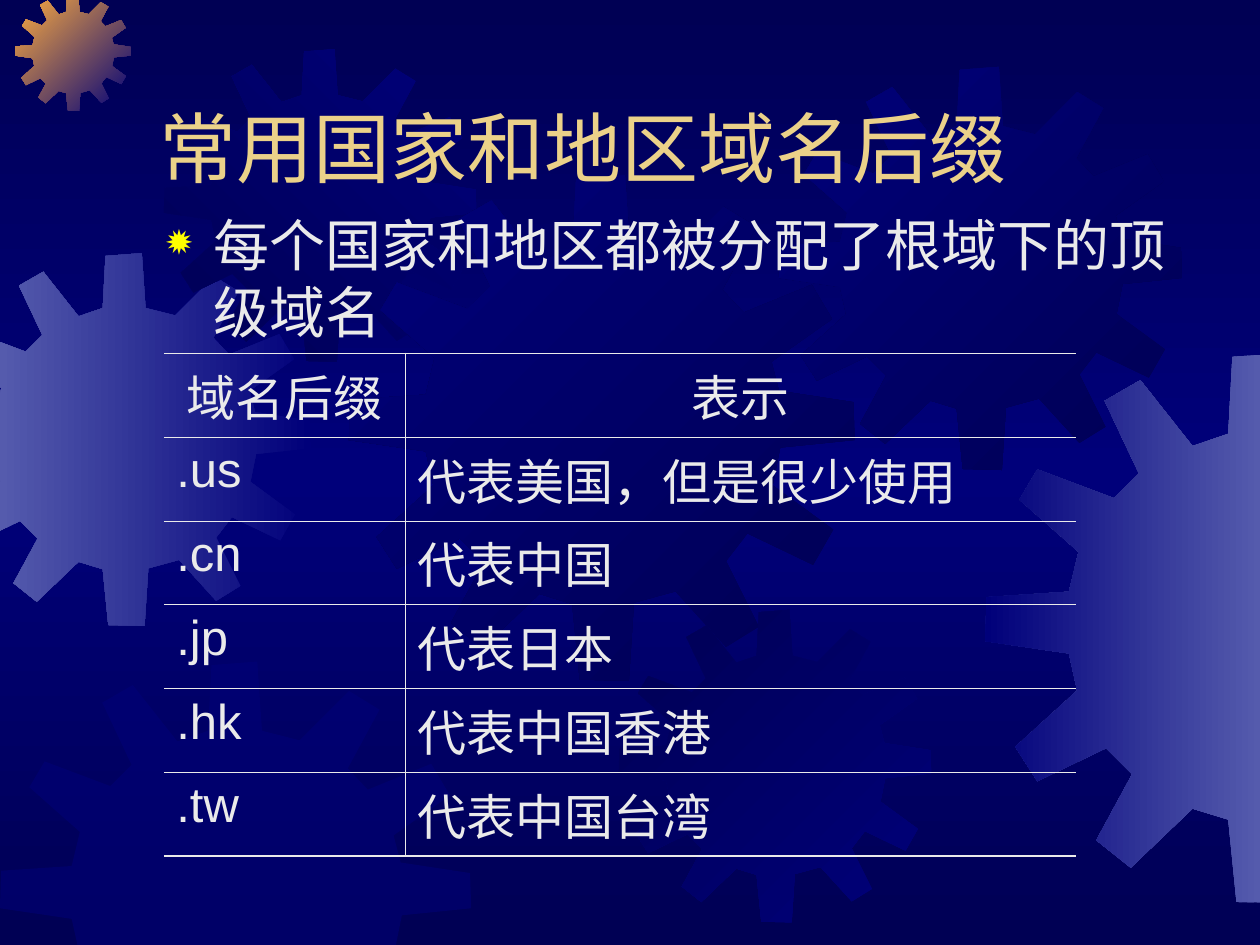
import copy

import lxml.etree
import pptx
import pptx.dml.color
import pptx.enum.text
import pptx.oxml.ns
import pptx.util

Pt = pptx.util.Pt
RGBColor = pptx.dml.color.RGBColor
PP_ALIGN = pptx.enum.text.PP_ALIGN
MSO_ANCHOR = pptx.enum.text.MSO_ANCHOR
qn = pptx.oxml.ns.qn

MIDNIGHT = RGBColor(0x00, 0x00, 0x54)
NAVY = RGBColor(0x00, 0x00, 0x7A)
PERIWINKLE = RGBColor(0x55, 0x5B, 0xAD)
ORANGE = RGBColor(0xFC, 0xAB, 0x40)
GOLD = RGBColor(0xEB, 0xD1, 0x89)
PALE = RGBColor(0xEA, 0xEA, 0xEA)
YELLOW = RGBColor(0xFF, 0xFF, 0x00)

SLIDE_WIDTH, SLIDE_HEIGHT = 720, 540
FONT = "Arial"
GEAR_SPAN = 401
GEAR_OUTLINE = [
    (255, 67), (223, 59), (219, 0), (180, 3), (177, 59), (151, 68),
    (113, 20), (87, 35), (112, 88), (94, 106), (38, 85), (25, 107),
    (68, 145), (61, 174), (1, 178), (0, 210), (61, 219), (67, 246),
    (22, 287), (38, 312), (88, 288), (107, 307), (81, 355), (106, 375),
    (151, 332), (177, 340), (183, 400), (222, 401), (226, 339), (259, 330),
    (299, 374), (325, 358), (299, 306), (316, 284), (368, 309), (384, 281),
    (336, 246), (342, 216), (401, 210), (400, 180), (341, 171), (335, 148),
    (383, 114), (367, 87), (313, 109), (296, 91), (323, 41), (297, 25),
]
GEARS = [
    (-35.3, 144.7, 213, (NAVY, PERIWINKLE), 180),
    (8.6, -2.9, 66.2, (NAVY, ORANGE), 225),
    (93.6, 28.1, 178.6, (NAVY, MIDNIGHT), 135),
    (199.4, 100.1, 289, (MIDNIGHT, NAVY), 225),
    (0, 378, 269.3, (NAVY,), 0),
    (353.5, 348.5, 178.6, (NAVY, MIDNIGHT), 225),
    (445, 38.2, 230.4, (MIDNIGHT, NAVY), 225),
    (563, 201.6, 314.6, (PERIWINKLE, NAVY), 180),
]
SUFFIXES = [
    ("域名后缀", "表示"),
    (".us", "代表美国，但是很少使用"),
    (".cn", "代表中国"),
    (".jp", "代表日本"),
    (".hk", "代表中国香港"),
    (".tw", "代表中国台湾"),
]


def add_child(parent, tag, **attributes):
    """Append a drawing element with the given attributes."""
    child = lxml.etree.SubElement(parent, qn(tag))
    for key, value in attributes.items():
        child.set(key, str(value))
    return child


def paint_gradient(owner, fill, colors, clockwise_angle):
    """Fill with evenly spaced colours along a clockwise angle."""
    fill.gradient()
    stop_list = next(owner.element.iter(qn("a:gsLst")))
    for _ in colors[2:]:
        stop_list.append(copy.deepcopy(stop_list[0]))
    for index, (stop, color) in enumerate(zip(fill.gradient_stops, colors)):
        stop.position = index / (len(colors) - 1)
        stop.color.rgb = color
    fill.gradient_angle = 360 - clockwise_angle


def write(frame, text, size, color, align=PP_ALIGN.LEFT, anchor=MSO_ANCHOR.TOP, bullet=None):
    """Put one formatted paragraph in a text frame."""
    frame.word_wrap = True
    frame.vertical_anchor = anchor
    paragraph = frame.paragraphs[0]
    paragraph.alignment = align
    if bullet:
        properties = paragraph._p.get_or_add_pPr()
        properties.set("marL", str(Pt(27)))
        properties.set("indent", str(Pt(-27)))
        add_child(add_child(properties, "a:buClr"), "a:srgbClr", val=YELLOW)
        add_child(properties, "a:buSzPct", val=80000)
        add_child(properties, "a:buChar", char=bullet)
    run = paragraph.add_run()
    run.text = text
    run.font.name = FONT
    run.font.size = Pt(size)
    run.font.color.rgb = color


def clip(points, axis, limit, side):
    """Cut a polygon at a limit, keeping the part on the given side."""
    kept = []
    for start, end in zip(points, points[1:] + points[:1]):
        start_gap = side * (start[axis] - limit)
        end_gap = side * (end[axis] - limit)
        if start_gap >= 0:
            kept.append(start)
        if start_gap * end_gap < 0:
            share = start_gap / (start_gap - end_gap)
            kept.append(tuple(a + share * (b - a) for a, b in zip(start, end)))
    return kept


def add_gear(slide, left, top, size, colors, angle):
    """Draw a gear in a square box, cut at the slide edges."""
    scale = size / GEAR_SPAN
    points = [(left + x * scale, top + y * scale) for x, y in GEAR_OUTLINE]
    for axis, extent in enumerate((SLIDE_WIDTH, SLIDE_HEIGHT)):
        points = clip(clip(points, axis, 0, 1), axis, extent, -1)
    corners = [(Pt(x), Pt(y)) for x, y in points]
    builder = slide.shapes.build_freeform(*corners[0])
    builder.add_line_segments(corners[1:], close=True)
    gear = builder.convert_to_shape()
    gear.shadow.inherit = False
    gear.line.fill.background()
    if len(colors) > 1:
        paint_gradient(gear, gear.fill, colors, angle)
    else:
        gear.fill.solid()
        gear.fill.fore_color.rgb = colors[0]
        add_child(next(gear.element.spPr.iter(qn("a:srgbClr"))), "a:alpha", val=50000)


def add_backdrop(slide):
    """Paint the background and its gears."""
    paint_gradient(slide, slide.background.fill, (MIDNIGHT, NAVY, MIDNIGHT), 90)
    for gear in GEARS:
        add_gear(slide, *gear)


def add_text(slide, left, top, width, height, text, **text_format):
    """Place a text box in the given box."""
    box = slide.shapes.add_textbox(Pt(left), Pt(top), Pt(width), Pt(height))
    write(box.text_frame, text, **text_format)


def set_borders(cell, widths):
    """Set left, right, top and bottom borders, with zero for none."""
    properties = cell._tc.get_or_add_tcPr()
    for index, (edge, width) in enumerate(zip("LRTB", widths)):
        border = add_child(properties, f"a:ln{edge}", w=Pt(width))
        if width:
            add_child(add_child(border, "a:solidFill"), "a:srgbClr", val=PALE)
        else:
            add_child(border, "a:noFill")
        properties.insert(index, border)


def add_suffix_table(slide, left, top, width, height):
    """Place the table of suffixes and their meanings."""
    table = slide.shapes.add_table(
        len(SUFFIXES), 2, Pt(left), Pt(top), Pt(width), Pt(height)).table
    table.first_row = table.horz_banding = False
    suffix_width = 138
    table.columns[0].width = Pt(suffix_width)
    table.columns[1].width = Pt(width - suffix_width)
    last = len(SUFFIXES) - 1
    for row, entries in enumerate(SUFFIXES):
        for column, entry in enumerate(entries):
            cell = table.cell(row, column)
            cell.fill.background()
            set_borders(cell, (0.45 * column, 0.45 * (1 - column),
                               1.08 if row == 0 else 0.45,
                               1.08 if row == last else 0.45))
            write(cell.text_frame, entry, size=28, color=PALE,
                  align=PP_ALIGN.LEFT if row else PP_ALIGN.CENTER)


def main():
    """Build and save the slide."""
    presentation = pptx.Presentation()
    presentation.slide_width = Pt(SLIDE_WIDTH)
    presentation.slide_height = Pt(SLIDE_HEIGHT)
    slide = presentation.slides.add_slide(presentation.slide_layouts[6])
    add_backdrop(slide)
    add_text(slide, 84.2, 23.8, 612, 90, "常用国家和地区域名后缀",
             size=44, color=GOLD, anchor=MSO_ANCHOR.BOTTOM)
    add_text(slide, 87.8, 116.6, 612, 324, "每个国家和地区都被分配了根域下的顶级域名",
             size=32, color=PALE, bullet="✹")
    add_suffix_table(slide, 93.6, 202, 521.5, 287.2)
    presentation.save("out.pptx")


if __name__ == "__main__":
    main()
